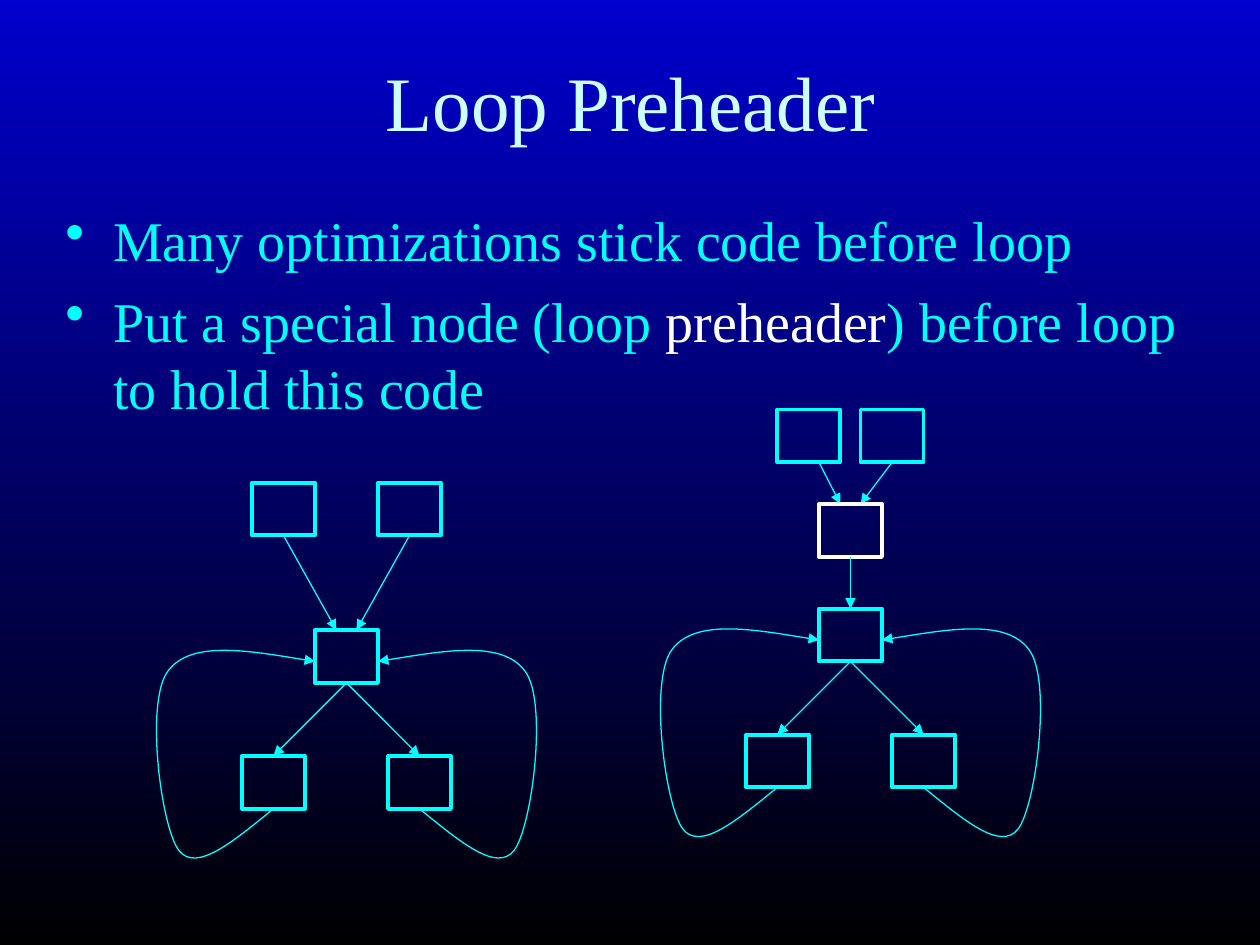
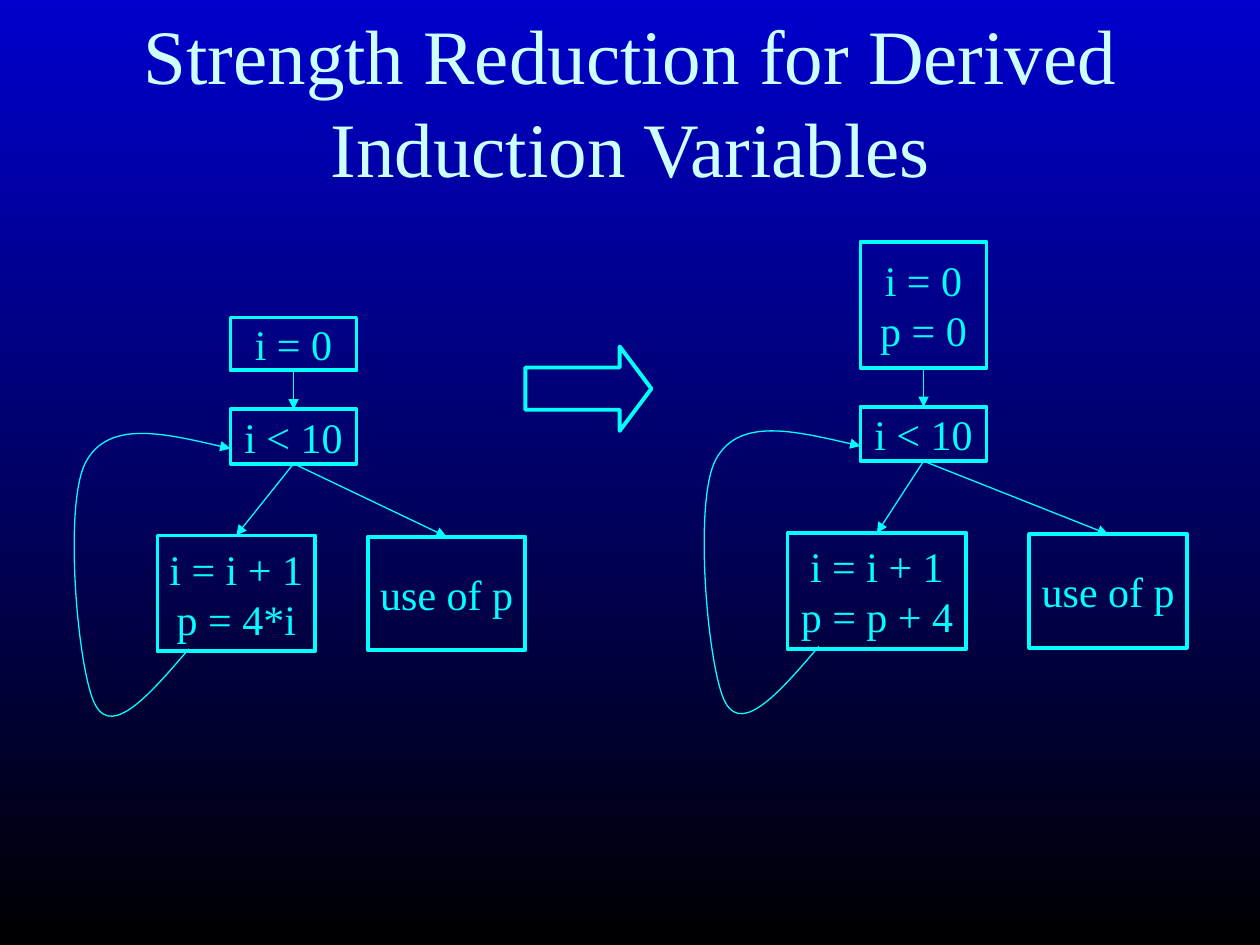
import pptx
import pptx.dml.color
import pptx.enum.shapes
import pptx.enum.text
import pptx.oxml.ns
import pptx.util
from lxml import etree

Inches = pptx.util.Inches
Pt = pptx.util.Pt
qn = pptx.oxml.ns.qn
SHAPE = pptx.enum.shapes.MSO_SHAPE
ALIGN = pptx.enum.text.PP_ALIGN
ANCHOR = pptx.enum.text.MSO_ANCHOR

COLORS = {
    "sky": "0000CC",
    "night": "000000",
    "title": "CCFFFF",
    "main": "00FFFF",
    "accent": "FFFFFF",
}
FONT = "Times New Roman"
NODE_WIDTH, NODE_HEIGHT = 0.5, 0.42
BACK_EDGE = [(-0.58, 1.42), (-0.89, 1.67), (-1.19, 1.93), (-1.33, 1.75), (-1.47, 1.57),
             (-1.6, 0.58), (-1.42, 0.33), (-1.24, 0.08), (-0.74, 0.17), (-0.25, 0.25)]
CODE_BACK_EDGE = [(-0.33, 1.9), (-0.63, 2.25), (-0.93, 2.6), (-1.07, 2.35), (-1.21, 2.11),
                  (-1.33, 0.76), (-1.15, 0.42), (-0.97, 0.08), (-0.48, 0.2), (0, 0.31)]


def rgb(name):
    """Return the named colour of the palette."""
    return pptx.dml.color.RGBColor.from_string(COLORS[name])


def write(frame, text, size=24, color="main", align=ALIGN.CENTER, anchor=ANCHOR.MIDDLE,
          wrap=True, accent=None, bullet=False, before=0):
    """Fill a frame with one paragraph per line, highlighting the accent word."""
    frame.word_wrap = wrap
    frame.vertical_anchor = anchor
    for number, line in enumerate(text.split("\n")):
        paragraph = frame.paragraphs[0] if number == 0 else frame.add_paragraph()
        paragraph.alignment = align
        paragraph.space_before = Pt(before)
        if bullet:
            properties = paragraph._p.get_or_add_pPr()
            properties.set("marL", str(Inches(0.38)))
            properties.set("indent", str(-Inches(0.38)))
            etree.SubElement(properties, qn("a:buChar")).set("char", "•")
        pieces = line.partition(accent) if accent else (line,)
        for piece in filter(None, pieces):
            run = paragraph.add_run()
            run.text = piece
            run.font.name = FONT
            run.font.size = Pt(size)
            run.font.color.rgb = rgb("accent" if piece == accent else color)


def text_area(slide, box, text, **style):
    """Add a text box at left, top, width, height."""
    area = slide.shapes.add_textbox(*map(Inches, box))
    write(area.text_frame, text, **style)


def outline(slide, box, kind=SHAPE.RECTANGLE, color="main", text=""):
    """Add an unfilled, outlined shape with optional code text."""
    shape = slide.shapes.add_shape(kind, *map(Inches, box))
    shape.shadow.inherit = False
    shape.fill.background()
    shape.line.color.rgb = rgb(color)
    shape.line.width = Pt(2.25)
    if text:
        write(shape.text_frame, text, wrap=False)
    return shape


def node(slide, center, top, color="main"):
    """Add an empty flow graph node centred on an x position."""
    return outline(slide, (center - NODE_WIDTH / 2, top, NODE_WIDTH, NODE_HEIGHT), color=color)


def style_edge(line):
    """Give a line the thin stroke and the arrowhead of the flow graphs."""
    line.color.rgb = rgb("main")
    line.width = Pt(0.75)
    etree.SubElement(line._get_or_add_ln(), qn("a:tailEnd")).set("type", "triangle")


def edge(slide, start, end):
    """Draw an arrow between nodes (bottom to top) or free points."""
    points = [(0, 0) if hasattr(place, "shape_id") else place for place in (start, end)]
    arrow = slide.shapes.add_connector(
        pptx.enum.shapes.MSO_CONNECTOR.STRAIGHT, *[Inches(v) for point in points for v in point])
    if hasattr(start, "shape_id"):
        arrow.begin_connect(start, 2)
    if hasattr(end, "shape_id"):
        arrow.end_connect(end, 0)
    style_edge(arrow.line)
    etree.SubElement(arrow._element.spPr, qn("a:effectLst"))


def back_edge(slide, x, y, controls, side=1):
    """Draw a curved arrow through Bezier controls, mirrored when side is -1."""
    points = [(Inches(x + side * dx), Inches(y + dy)) for dx, dy in controls]
    builder = slide.shapes.build_freeform(*points[0])
    builder.add_line_segments(points[1:], close=False)
    curve = builder.convert_to_shape()
    segments = list(curve._element.iter(qn("a:lnTo")))
    for first, second, third in zip(*[iter(segments)] * 3):
        first.tag = qn("a:cubicBezTo")
        for segment in (second, third):
            first.append(segment[0])
            segment.getparent().remove(segment)
    curve.shadow.inherit = False
    curve.fill.background()
    style_edge(curve.line)


def loop_graph(slide, center, top):
    """Draw a loop header with two branches that return to it."""
    header = node(slide, center, top)
    for side in (1, -1):
        edge(slide, header, node(slide, center - side * 0.58, top + 1))
        back_edge(slide, center, top, BACK_EDGE, side)
    return header


def predecessors(slide, center, top, spread, target_top, left_exit=None):
    """Draw two nodes whose arrows meet at the node below them."""
    for side in (-1, 1):
        source = node(slide, center + side * spread, top)
        if side == -1 and left_exit:
            source = (left_exit, top + NODE_HEIGHT)
        edge(slide, source, (center + side * 0.08, target_top))


def code_graph(slide, left, top, init, init_height, body, body_width, exit_offset):
    """Draw a counting loop, placed by the corner of its test."""
    start = outline(slide, (left, top - 0.31 - init_height, 1, init_height), text=init)
    test = outline(slide, (left, top, 1, 0.43), text="i < 10")
    update = outline(slide, (left - 0.58, top + 1, body_width, 0.92), text=body)
    use = outline(slide, (left + exit_offset, top + 1.01, 1.25, 0.9), text="use of p")
    edge(slide, start, test)
    edge(slide, test, update)
    edge(slide, test, use)
    back_edge(slide, left, top, CODE_BACK_EDGE)


def titled_slide(deck, title):
    """Add a blank slide with the shared title style."""
    slide = deck.slides.add_slide(deck.slide_layouts[6])
    text_area(slide, (0.42, 0.17, 9.17, 1.25), title, size=44, color="title")
    return slide


def preheader_slide(deck):
    """Compare a loop with and without a preheader."""
    slide = titled_slide(deck, "Loop Preheader")
    text_area(slide, (0.42, 1.58, 9.17, 5.33),
              "Many optimizations stick code before loop\n"
              "Put a special node (loop preheader) before loop to hold this code",
              size=32, align=ALIGN.LEFT, anchor=ANCHOR.TOP, accent="preheader",
              bullet=True, before=8)
    loop_graph(slide, 2.75, 5)
    predecessors(slide, 2.75, 3.83, 0.5, 5)
    header = loop_graph(slide, 6.75, 4.83)
    predecessors(slide, 6.75, 3.25, 0.33, 4, left_exit=6.5)
    edge(slide, node(slide, 6.75, 4, color="accent"), header)


def reduction_slide(deck):
    """Show a loop before and after strength reduction."""
    slide = titled_slide(deck, "Strength Reduction for Derived Induction Variables")
    code_graph(slide, 1.83, 3.25, "i = 0", 0.42, "i = i + 1\np = 4*i", 1.25, 1.09)
    code_graph(slide, 6.83, 3.23, "i = 0\np = 0", 1, "i = i + 1\np = p + 4", 1.42, 1.34)
    becomes = outline(slide, (4.17, 2.75, 1, 0.67), SHAPE.RIGHT_ARROW)
    becomes.adjustments[0] = 0.5
    becomes.adjustments[1] = 0.375


def main():
    """Build the deck."""
    deck = pptx.Presentation()
    deck.slide_width, deck.slide_height = Inches(10), Inches(7.5)
    backdrop = deck.slide_master.background.fill
    backdrop.gradient()
    backdrop.gradient_angle = 270
    for stop, name in zip(backdrop.gradient_stops, ("sky", "night")):
        stop.color.rgb = rgb(name)
    preheader_slide(deck)
    reduction_slide(deck)
    deck.save("out.pptx")


if __name__ == "__main__":
    main()
